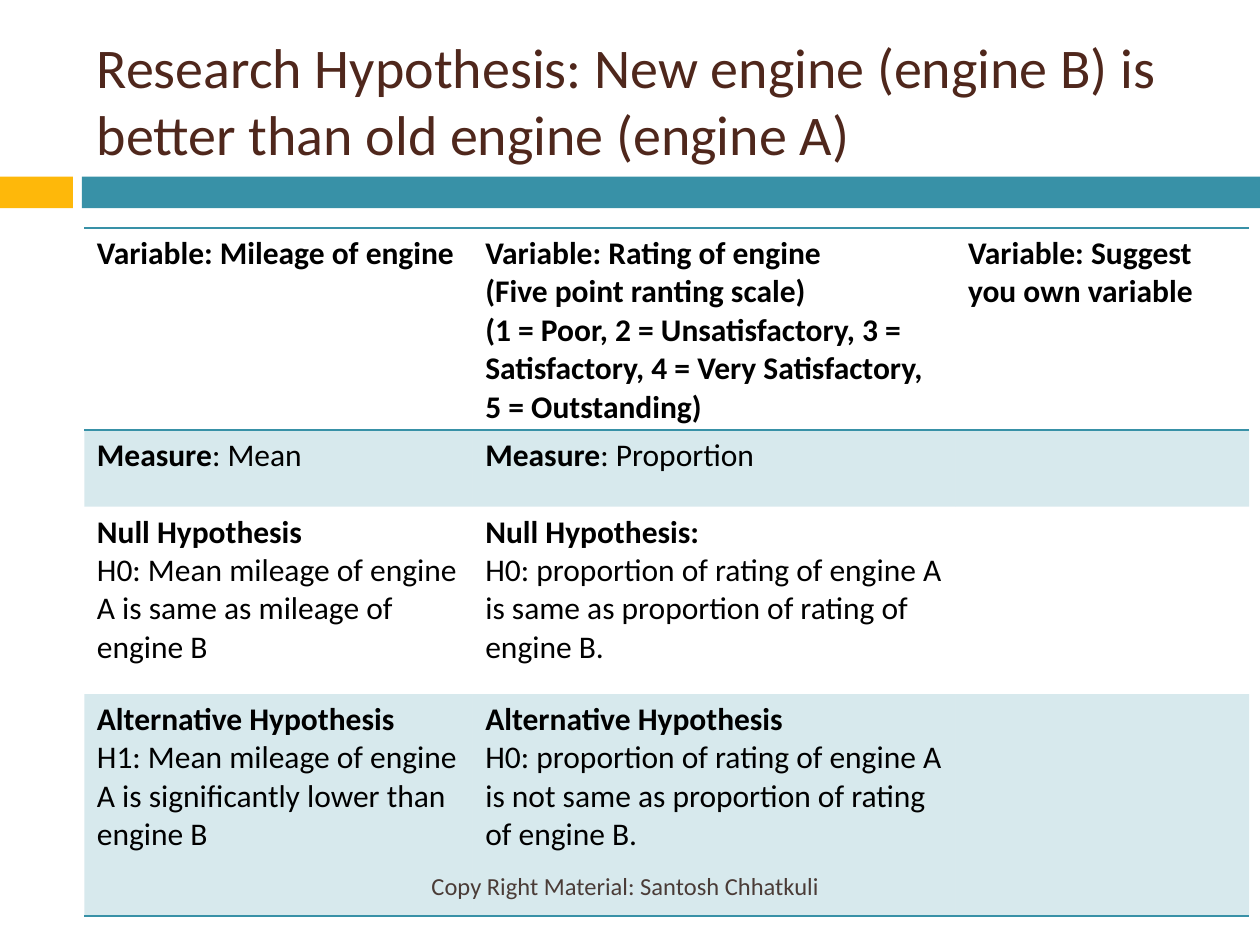
from lxml.etree import SubElement
from pptx import Presentation
from pptx.dml.color import RGBColor
from pptx.enum.shapes import MSO_SHAPE
from pptx.enum.text import MSO_ANCHOR, PP_ALIGN
from pptx.oxml.ns import qn
from pptx.util import Cm, Pt

FONT = "Calibri"
TEAL, GOLD, BROWN, BLACK = "3891A7", "FEB80A", "4F271C", "000000"
NO_STYLE = "{2D5ABB26-0587-4C30-8999-92F81FD0307C}"

COLUMN_WIDTHS = [7.83, 9.73, 5.92]
ROW_HEIGHTS = [3.81, 1.55, 3.78, 4.47]
# Each cell is a list of paragraphs, each paragraph a (bold, regular) pair.
HYPOTHESES = [
    [
        [("Variable: Mileage of engine", "")],
        [
            ("Variable: Rating of engine", ""),
            ("(Five point ranting scale)", ""),
            ("(1 = Poor, 2 = Unsatisfactory, 3 = Satisfactory, "
             "4 = Very Satisfactory, 5 = Outstanding)", ""),
        ],
        [("Variable: Suggest you own variable", "")],
    ],
    [[("Measure", ": Mean")], [("Measure", ": Proportion")], []],
    [
        [("Null Hypothesis", ""),
         ("", "H0: Mean mileage of engine A is same as mileage of engine B")],
        [("Null Hypothesis:", ""),
         ("", "H0: proportion of rating of engine A is same as "
              "proportion of rating of engine B.")],
        [],
    ],
    [
        [("Alternative Hypothesis", ""),
         ("", "H1: Mean mileage of engine A is significantly lower than engine B")],
        [("Alternative Hypothesis", ""),
         ("", "H0: proportion of rating of engine A is not same as "
              "proportion of rating of engine B.")],
        [],
    ],
]


def color(value):
    return RGBColor.from_string(value)


def style_font(font, size, value, bold=False):
    font.name = FONT
    font.size = Pt(size)
    font.color.rgb = color(value)
    font.bold = bold


def add_bar(page, left, top, width, height, fill):
    bar = page.shapes.add_shape(
        MSO_SHAPE.RECTANGLE, Cm(left), Cm(top), Cm(width), Cm(height))
    bar.shadow.inherit = False
    bar.fill.solid()
    bar.fill.fore_color.rgb = color(fill)
    bar.line.fill.background()


def add_divider(page, left, top, width, height):
    accent, gap = 1.47, 0.18
    add_bar(page, left, top, accent, height, GOLD)
    band = accent + gap
    add_bar(page, left + band, top, width - band, height, TEAL)


def add_text(page, left, top, width, height, text, size, align=PP_ALIGN.LEFT):
    box = page.shapes.add_textbox(Cm(left), Cm(top), Cm(width), Cm(height))
    frame = box.text_frame
    frame.word_wrap = True
    frame.vertical_anchor = MSO_ANCHOR.MIDDLE
    frame.text = text
    para = frame.paragraphs[0]
    para.alignment = align
    style_font(para.runs[0].font, size, BROWN)


def add_border(cell, tag):
    line = SubElement(cell._tc.get_or_add_tcPr(), qn(tag), w=str(Pt(1)))
    fill = SubElement(line, qn("a:solidFill"))
    SubElement(fill, qn("a:srgbClr"), val=TEAL)


def fill_cell(cell, shaded):
    if not shaded:
        cell.fill.background()
        return
    cell.fill.solid()
    cell.fill.fore_color.rgb = color(TEAL)
    tint = cell._tc.tcPr.find(".//" + qn("a:srgbClr") + "[last()]") \
        if cell._tc.tcPr.find(qn("a:lnB")) is None \
        else cell._tc.tcPr.find(qn("a:solidFill")).find(qn("a:srgbClr"))
    SubElement(tint, qn("a:alpha"), val="20000")


def write_cell(cell, paragraphs):
    frame = cell.text_frame
    for index, parts in enumerate(paragraphs):
        para = frame.add_paragraph() if index else frame.paragraphs[0]
        for text, bold in zip(parts, (True, False)):
            if text:
                span = para.add_run()
                span.text = text
                style_font(span.font, 18, BLACK, bold)


def add_hypothesis_table(page, left, top):
    table = page.shapes.add_table(
        len(ROW_HEIGHTS), len(COLUMN_WIDTHS), Cm(left), Cm(top),
        Cm(sum(COLUMN_WIDTHS)), Cm(sum(ROW_HEIGHTS))).table
    table.first_row = table.horz_banding = False
    table._tbl.tblPr.find(qn("a:tableStyleId")).text = NO_STYLE
    for column, width in zip(table.columns, COLUMN_WIDTHS):
        column.width = Cm(width)
    last = len(ROW_HEIGHTS) - 1
    for number, (row, height) in enumerate(zip(table.rows, ROW_HEIGHTS)):
        row.height = Cm(height)
        for cell, paragraphs in zip(row.cells, HYPOTHESES[number]):
            write_cell(cell, paragraphs)
            if number == 0:
                add_border(cell, "a:lnT")
            if number in (0, last):
                add_border(cell, "a:lnB")
            fill_cell(cell, shaded=number % 2 == 1)


def main():
    deck = Presentation()
    deck.slide_width, deck.slide_height = Cm(25.4), Cm(19.05)
    page = deck.slides.add_slide(deck.slide_layouts[6])
    add_divider(page, 0, 3.56, 25.4, 0.64)
    add_text(page, 1.7, 0.64, 22.66, 2.74,
             "Research Hypothesis: New engine (engine B) is better than "
             "old engine (engine A)", 32)
    add_text(page, 1.7, 17.35, 15.06, 1.02,
             "Copy Right Material: Santosh Chhatkuli", 14, PP_ALIGN.RIGHT)
    add_hypothesis_table(page, 1.7, 4.6)
    deck.save("out.pptx")


if __name__ == "__main__":
    main()
